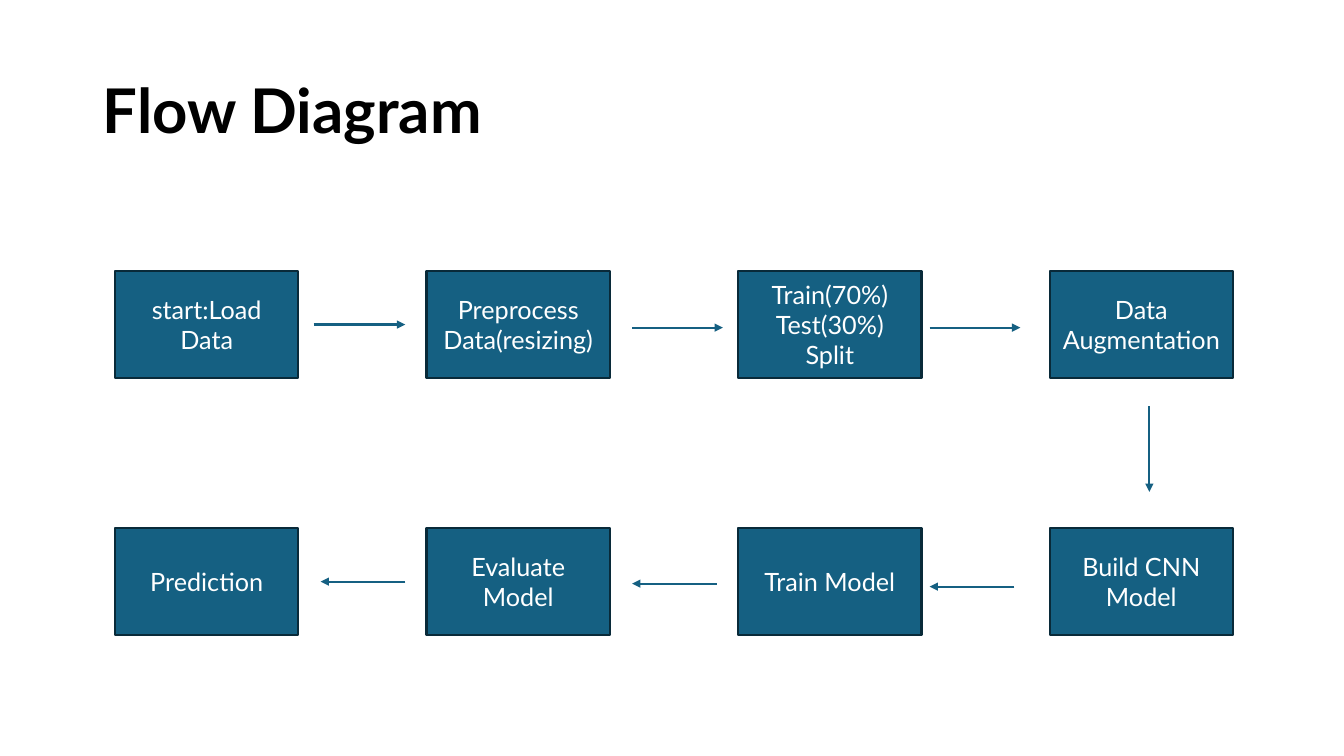
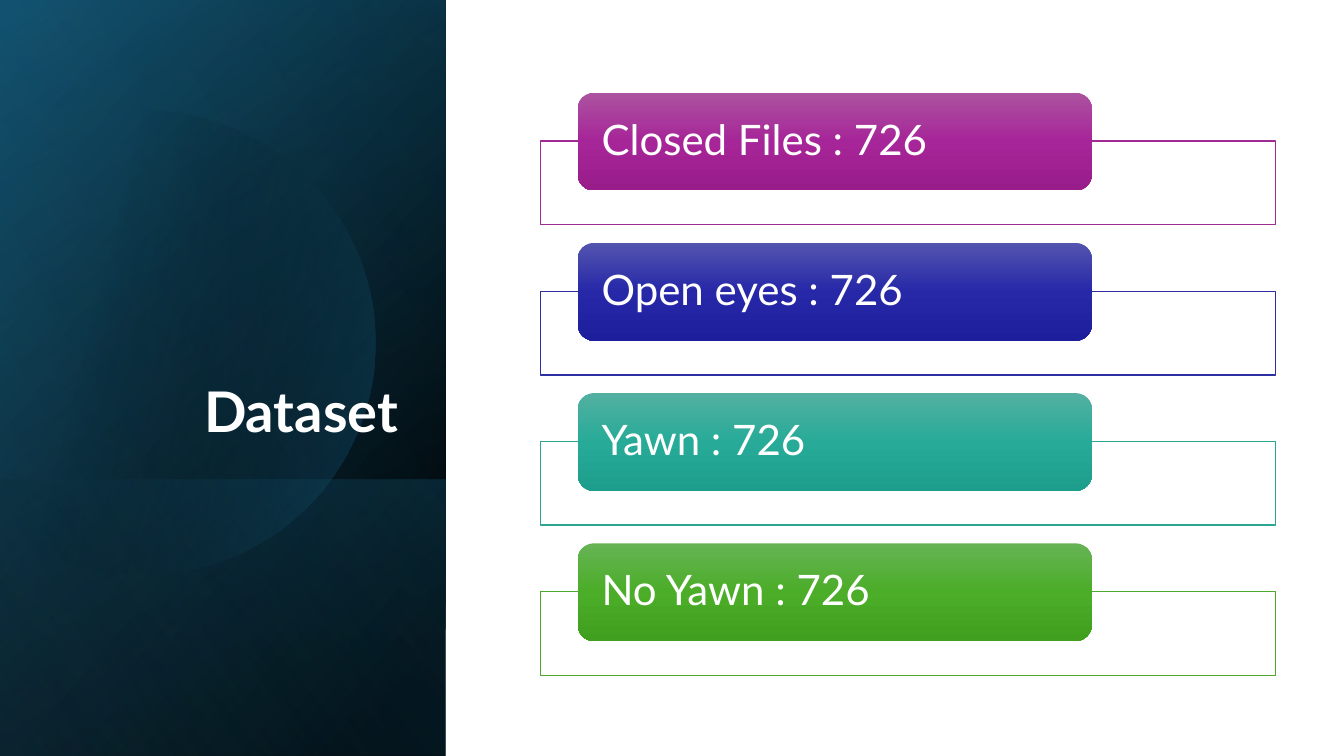
import math

from lxml import etree
from pptx import Presentation
from pptx.dml.color import RGBColor
from pptx.enum import shapes, text
from pptx.oxml.ns import qn
from pptx.util import Inches, Pt

FONT = "Lato"
COLOURS = {
    "black": "000000",
    "white": "FFFFFF",
    "blue": "156082",
    "box edge": "092A39",
    "deep blue": "104862",
    "sky": "46B1E1",
}
PANEL_WIDTH, SLIDE_HEIGHT = 4.42, 7.5

BOX_WIDTH, BOX_HEIGHT = 1.82, 1.06
BOX_LEFT, BOX_PITCH = 1.14, 3.09
FLOW_ROWS = [
    (2.69, ["start:Load Data", "Preprocess Data(resizing)",
            "Train(70%)\nTest(30%)\nSplit", "Data Augmentation"]),
    (5.24, ["Prediction", "Evaluate Model", "Train Model", "Build CNN\nModel"]),
]
ARROWS = [
    (3.11, 3.22, 4.02, 3.22),
    (6.27, 3.25, 7.17, 3.25),
    (9.22, 3.25, 10.12, 3.25),
    (11.4, 4.03, 11.4, 4.88),
    (10.06, 5.82, 9.22, 5.82),
    (7.11, 5.79, 6.27, 5.79),
    (4.02, 5.77, 3.18, 5.77),
]

CARD_TOP, CARD_PITCH = 0.92, 1.49
# Label, frame line, gradient from top to bottom
CARDS = [
    ("Closed Files : 726", "A02B93", ("AC53A0", "A62598", "991C8B")),
    ("Open eyes : 726", "2C2EA2", ("5354AE", "2628A8", "1D1E9B")),
    ("Yawn : 726", "2DA594", ("53B0A1", "27AB98", "1D9D8B")),
    ("No Yawn : 726", "4EA72E", ("66B354", "4BAD28", "409F1E")),
]


def rgb(colour):
    return RGBColor.from_string(COLOURS.get(colour, colour))


def write(shape, content, size, colour, align, anchor, bold=False, spacing=1.0):
    frame = shape.text_frame
    frame.word_wrap = True
    frame.auto_size = text.MSO_AUTO_SIZE.NONE
    frame.vertical_anchor = anchor
    for index, line in enumerate(content.split("\n")):
        paragraph = frame.add_paragraph() if index else frame.paragraphs[0]
        paragraph.alignment = align
        paragraph.line_spacing = spacing
        run = paragraph.add_run()
        run.text = line
        run.font.name, run.font.size, run.font.bold = FONT, Pt(size), bold
        run.font.color.rgb = rgb(colour)


def add_title_slide(presentation):
    return presentation.slides.add_slide(presentation.slide_layouts[5])


def set_title(slide, content, box, size, colour, align, anchor):
    """Format the title and bring it in front of what is drawn so far."""
    title = slide.shapes.title
    title.left, title.top, title.width, title.height = map(Inches, box)
    write(title, content, size, colour, align, anchor, bold=True, spacing=0.9)
    title.element.getparent().append(title.element)


def add_box(slide, kind, left, top, width, height):
    shape = slide.shapes.add_shape(kind, *map(Inches, (left, top, width, height)))
    shape.shadow.inherit = False
    return shape


def set_line(line, colour, width):
    line.color.rgb = rgb(colour)
    line.width = Pt(width)


def add_alpha(colour_element, percent):
    etree.SubElement(colour_element, qn("a:alpha"), val=str(percent * 1000))


def fill_gradient(shape, stops, angle):
    """Fill with (position, colour, opacity) stops in percent; no outline."""
    shape.line.fill.background()
    shape.fill.gradient()
    gradient = shape.element.spPr.find(qn("a:gradFill"))
    gradient.clear()
    gradient.set("rotWithShape", "1")
    stop_list = etree.SubElement(gradient, qn("a:gsLst"))
    for position, colour, opacity in stops:
        stop = etree.SubElement(stop_list, qn("a:gs"), pos=str(position * 1000))
        value = etree.SubElement(stop, qn("a:srgbClr"), val=str(rgb(colour)))
        if opacity < 100:
            add_alpha(value, opacity)
    etree.SubElement(gradient, qn("a:lin"), ang=str(round(angle * 60000)), scaled="0")


def add_arrow(slide, *ends):
    arrow = slide.shapes.add_connector(shapes.MSO_CONNECTOR.STRAIGHT, *map(Inches, ends))
    set_line(arrow.line, "blue", 1.5)
    etree.SubElement(arrow.line._get_or_add_ln(), qn("a:tailEnd"), type="triangle")
    etree.SubElement(arrow.element.spPr, qn("a:effectLst"))


def add_panel_layer(slide, top, stops, angle):
    """Add a mirrored, quarter-turned layer from top to the slide's lower edge."""
    length = SLIDE_HEIGHT - top
    layer = add_box(slide, shapes.MSO_SHAPE.RECTANGLE, (PANEL_WIDTH - length) / 2,
                    top + (length - PANEL_WIDTH) / 2, length, PANEL_WIDTH)
    layer.rotation = 90
    layer.element.spPr.find(qn("a:xfrm")).set("flipH", "1")
    fill_gradient(layer, stops, angle)


def add_panel_disc(slide):
    """Add a circle cut off by the slide's left edge."""
    centre_x, centre_y, radius = 1.42, 3.4, 2.3
    limit = math.acos(-centre_x / radius)
    steps = 90
    angles = [limit * (2 * step / steps - 1) for step in range(steps + 1)]
    points = [(Inches(centre_x + radius * math.cos(angle)),
               Inches(centre_y + radius * math.sin(angle))) for angle in angles]
    builder = slide.shapes.build_freeform(*points[0])
    builder.add_line_segments(points[1:], close=True)
    disc = builder.convert_to_shape()
    disc.shadow.inherit = False
    fill_gradient(disc, [(29, "black", 0), (100, "blue", 43)], 13.9)


def add_card(slide, top, label, line_colour, colours):
    frame = add_box(slide, shapes.MSO_SHAPE.RECTANGLE, 5.36, top + 0.48, 7.29, 0.83)
    frame.fill.solid()
    frame.fill.fore_color.rgb = rgb("white")
    add_alpha(frame.element.spPr.find(qn("a:solidFill"))[0], 90)
    set_line(frame.line, line_colour, 1)

    card = add_box(slide, shapes.MSO_SHAPE.ROUNDED_RECTANGLE, 5.73, top, 5.1, 0.97)
    fill_gradient(card, [(50 * i, colour, 100) for i, colour in enumerate(colours)], 90)
    card.text_frame.margin_left = card.text_frame.margin_right = Inches(0.19)
    card.text_frame.margin_top = card.text_frame.margin_bottom = 0
    write(card, label, 30, "white", text.PP_ALIGN.LEFT, text.MSO_ANCHOR.MIDDLE, spacing=0.9)


def build_flow_slide(presentation):
    slide = add_title_slide(presentation)
    set_title(slide, "Flow Diagram", (0.92, 0.4, 11.5, 1.45), 44, "black",
              text.PP_ALIGN.LEFT, text.MSO_ANCHOR.MIDDLE)
    for top, labels in FLOW_ROWS:
        for column, label in enumerate(labels):
            step = add_box(slide, shapes.MSO_SHAPE.RECTANGLE,
                           BOX_LEFT + column * BOX_PITCH, top, BOX_WIDTH, BOX_HEIGHT)
            step.fill.solid()
            step.fill.fore_color.rgb = rgb("blue")
            set_line(step.line, "box edge", 1.5)
            write(step, label, 18, "white", text.PP_ALIGN.CENTER, text.MSO_ANCHOR.MIDDLE)
    for ends in ARROWS:
        add_arrow(slide, *ends)


def build_dataset_slide(presentation):
    slide = add_title_slide(presentation)
    add_panel_layer(slide, 0, [(8, "black", 100), (100, "deep blue", 100)], 50)
    add_panel_layer(slide, 0, [(0, "black", 0), (99, "blue", 46)], 30)
    add_panel_layer(slide, 4.76, [(2, "blue", 29), (100, "black", 30)], 130)
    add_panel_disc(slide)
    add_panel_layer(slide, 0, [(0, "black", 0), (99, "sky", 11)], 120)
    set_title(slide, "Dataset", (0.64, 1.84, 3.41, 2.62), 40, "white",
              text.PP_ALIGN.RIGHT, text.MSO_ANCHOR.BOTTOM)
    for index, card in enumerate(CARDS):
        add_card(slide, CARD_TOP + index * CARD_PITCH, *card)


def main():
    presentation = Presentation()
    presentation.slide_width = Inches(13.33)
    presentation.slide_height = Inches(SLIDE_HEIGHT)
    build_flow_slide(presentation)
    build_dataset_slide(presentation)
    presentation.save("out.pptx")


if __name__ == "__main__":
    main()
